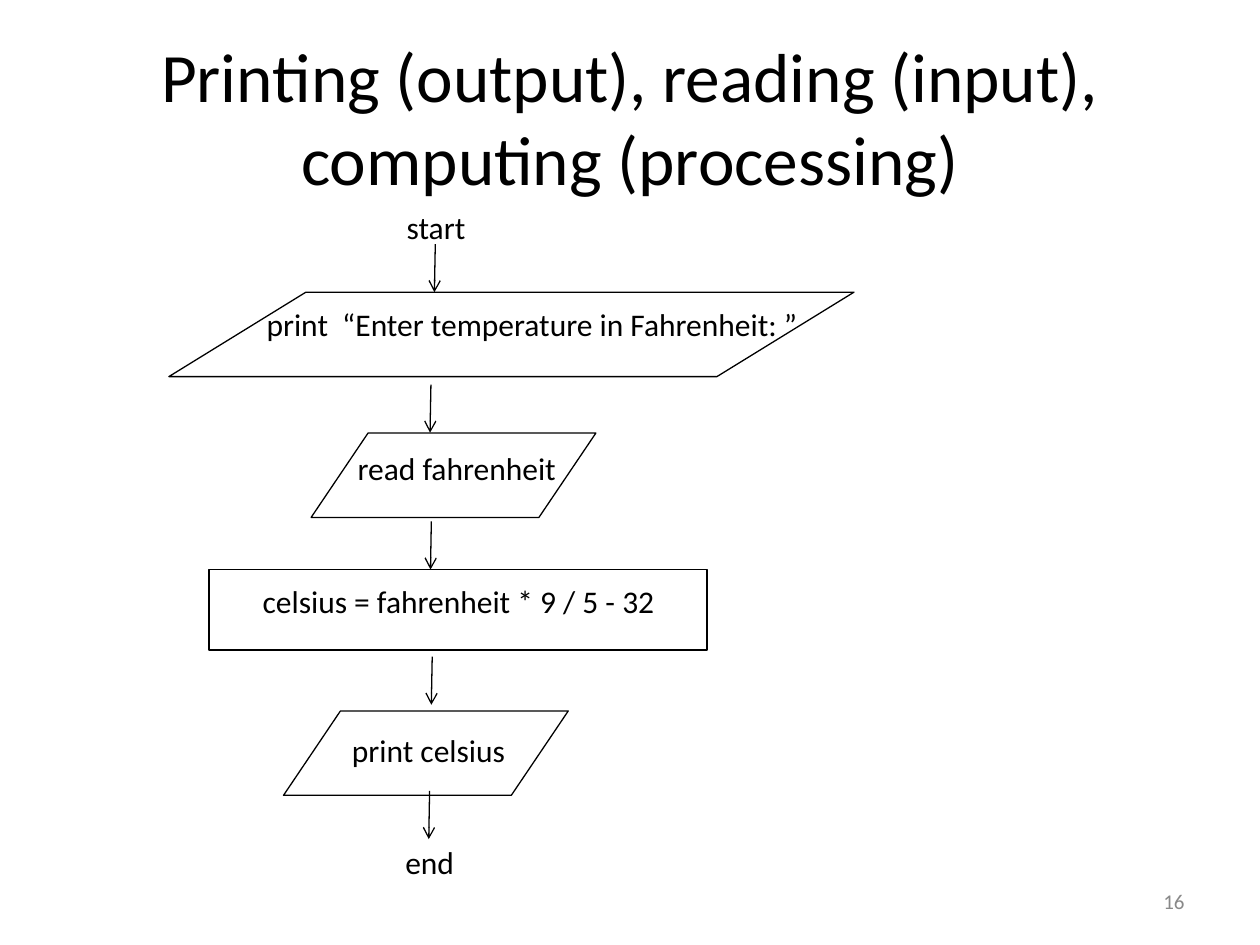
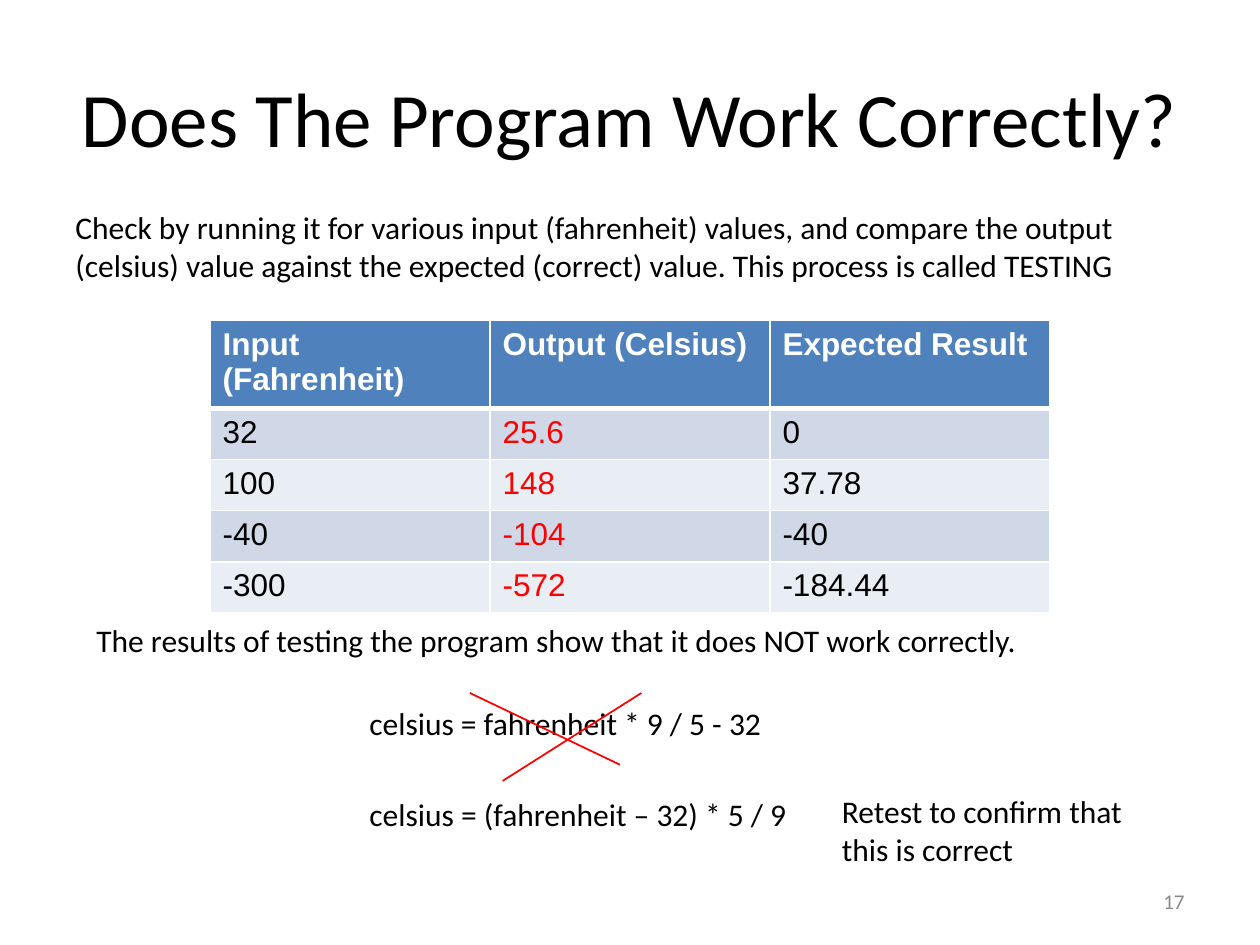
"""Build two slides: a temperature conversion flowchart and its test results."""
from dataclasses import dataclass

from lxml.etree import SubElement
from pptx import Presentation
from pptx.dml.color import RGBColor
from pptx.enum.shapes import MSO_CONNECTOR, MSO_SHAPE
from pptx.enum.text import MSO_ANCHOR, MSO_AUTO_SIZE, PP_ALIGN
from pptx.oxml.ns import qn
from pptx.util import Pt


@dataclass(frozen=True)
class Theme:
    black: str = "000000"
    white: str = "FFFFFF"
    red: str = "FF0000"
    gray: str = "898989"
    header: str = "4F81BD"
    bands: tuple = ("D0D8E8", "E9EDF4")
    font: str = "Calibri"
    table_font: str = "Arial"
    body_size: float = 18
    number_size: float = 12


theme = Theme()


def write_text(frame, text, size=theme.body_size, color=theme.black, font=theme.font,
               bold=False, align=PP_ALIGN.LEFT):
    for index, line in enumerate(text.split("\n")):
        paragraph = frame.add_paragraph() if index else frame.paragraphs[0]
        paragraph.alignment = align
        run = paragraph.add_run()
        run.text = line
        run.font.size = Pt(size)
        run.font.name = font
        run.font.bold = bold
        run.font.color.rgb = RGBColor.from_string(color)


def add_line(shapes, start, end, color=theme.black, width=0.75, arrow=False):
    connector = shapes.add_connector(MSO_CONNECTOR.STRAIGHT, *map(Pt, start + end))
    connector.line.color.rgb = RGBColor.from_string(color)
    connector.line.width = Pt(width)
    properties = connector.element.spPr
    if arrow:
        SubElement(properties.find(qn("a:ln")), qn("a:tailEnd"), type="arrow")
    SubElement(properties, qn("a:effectLst"))


presentation = Presentation()
presentation.slide_width = Pt(720)
presentation.slide_height = Pt(540)

titles = [
    ("Printing (output), reading (input), computing (processing)", 39.6),
    ("Does The Program Work Correctly?", 44),
]
for number, (title, title_size) in enumerate(titles, start=16):
    slide = presentation.slides.add_slide(presentation.slide_layouts[6])
    title_box = slide.shapes.add_textbox(Pt(36), Pt(21.6), Pt(648), Pt(90))
    write_text(title_box.text_frame, title, size=title_size, align=PP_ALIGN.CENTER)
    number_box = slide.shapes.add_textbox(Pt(516), Pt(500.5), Pt(168), Pt(28.75))
    write_text(number_box.text_frame, str(number), size=theme.number_size,
               color=theme.gray, align=PP_ALIGN.RIGHT)
    for box in (title_box, number_box):
        box.text_frame.word_wrap = True
        box.text_frame.vertical_anchor = MSO_ANCHOR.MIDDLE

flowchart_slide, testing_slide = presentation.slides

data_step, process_step = MSO_SHAPE.FLOWCHART_DATA, MSO_SHAPE.RECTANGLE
formula = "celsius = fahrenheit * 9 / 5 - 32"
steps = [
    (data_step, (96.5, 167, 391.5, 48.25)),
    (data_step, (177.75, 247.5, 162.75, 48.25)),
    (process_step, (119.5, 325.5, 284.5, 46)),
    (data_step, (162, 406.25, 162.75, 48.25)),
]
for kind, bounds in steps:
    step = flowchart_slide.shapes.add_shape(kind, *map(Pt, bounds))
    step.shadow.inherit = False
    step.fill.solid()
    step.fill.fore_color.rgb = RGBColor.from_string(theme.white)
    step.line.color.rgb = RGBColor.from_string(theme.black)
    step.line.width = Pt(0.75)

arrow_starts = [(248.75, 139.5), (246.25, 219.75), (246.5, 298), (247, 375.25), (245.5, 452)]
for left, top in arrow_starts:
    add_line(flowchart_slide.shapes, (left, top), (left - 0.5, top + 27.5), arrow=True)

labels = [
    (flowchart_slide, "start", (225.25, 115.25, 49), False),
    (flowchart_slide, "print  “Enter temperature in Fahrenheit: ”", (145.25, 170.75, 321), False),
    (flowchart_slide, "read fahrenheit", (197.25, 253.25, 129), False),
    (flowchart_slide, formula, (143, 329.25, 240.5), False),
    (flowchart_slide, "print celsius", (194, 414.25, 103.75), False),
    (flowchart_slide, "end", (224.5, 478.25, 42.5), False),
    (testing_slide,
     "Check by running it for various input (fahrenheit) values, and compare the output "
     "(celsius) value against the expected (correct) value. This process is called TESTING",
     (36, 115.25, 648), True),
    (testing_slide, "The results of testing the program show that it does NOT work correctly.",
     (48, 351.25, 540.75), False),
    (testing_slide, formula, (204, 398.75, 240.5), False),
    (testing_slide, "celsius = (fahrenheit – 32) * 5 / 9", (204, 450.75, 255.5), False),
    (testing_slide, "Retest to confirm that\nthis is correct", (474, 449.25, 176.5), False),
]
for slide, text, (left, top, width), wraps in labels:
    height = 51 if wraps or "\n" in text else 29
    label = slide.shapes.add_textbox(Pt(left), Pt(top), Pt(width), Pt(height))
    label.text_frame.word_wrap = wraps
    label.text_frame.auto_size = MSO_AUTO_SIZE.SHAPE_TO_FIT_TEXT
    write_text(label.text_frame, text)

test_rows = [
    ("Input (Fahrenheit)", "Output (Celsius)", "Expected Result"),
    ("32", "25.6", "0"),
    ("100", "148", "37.78"),
    ("-40", "-104", "-40"),
    ("-300", "-572", "-184.44"),
]
table = testing_slide.shapes.add_table(
    len(test_rows), 3, Pt(120), Pt(183), Pt(480), Pt(146)).table
for row_index, values in enumerate(test_rows):
    table.rows[row_index].height = Pt(29.2)
    is_header = row_index == 0
    fill = theme.header if is_header else theme.bands[(row_index - 1) % 2]
    for column_index, value in enumerate(values):
        cell = table.cell(row_index, column_index)
        if is_header:
            color = theme.white
        else:
            color = theme.red if column_index == 1 else theme.black
        write_text(cell.text_frame, value, color=color, font=theme.table_font, bold=is_header)
        cell_properties = cell._tc.get_or_add_tcPr()
        for side in ("lnL", "lnR", "lnT", "lnB"):
            is_thick = (row_index, side) in ((0, "lnB"), (1, "lnT"))
            border = SubElement(cell_properties, qn(f"a:{side}"), w=str(Pt(3 if is_thick else 1)))
            border_fill = SubElement(border, qn("a:solidFill"))
            SubElement(border_fill, qn("a:srgbClr"), val=theme.white)
        cell.fill.solid()
        cell.fill.fore_color.rgb = RGBColor.from_string(fill)

cross = testing_slide.shapes.add_group_shape()
for start, end in [((268.5, 396), (354.25, 437)), ((366.5, 396), (287.25, 446.25))]:
    add_line(cross.shapes, start, end, color=theme.red, width=1)

presentation.save("out.pptx")
